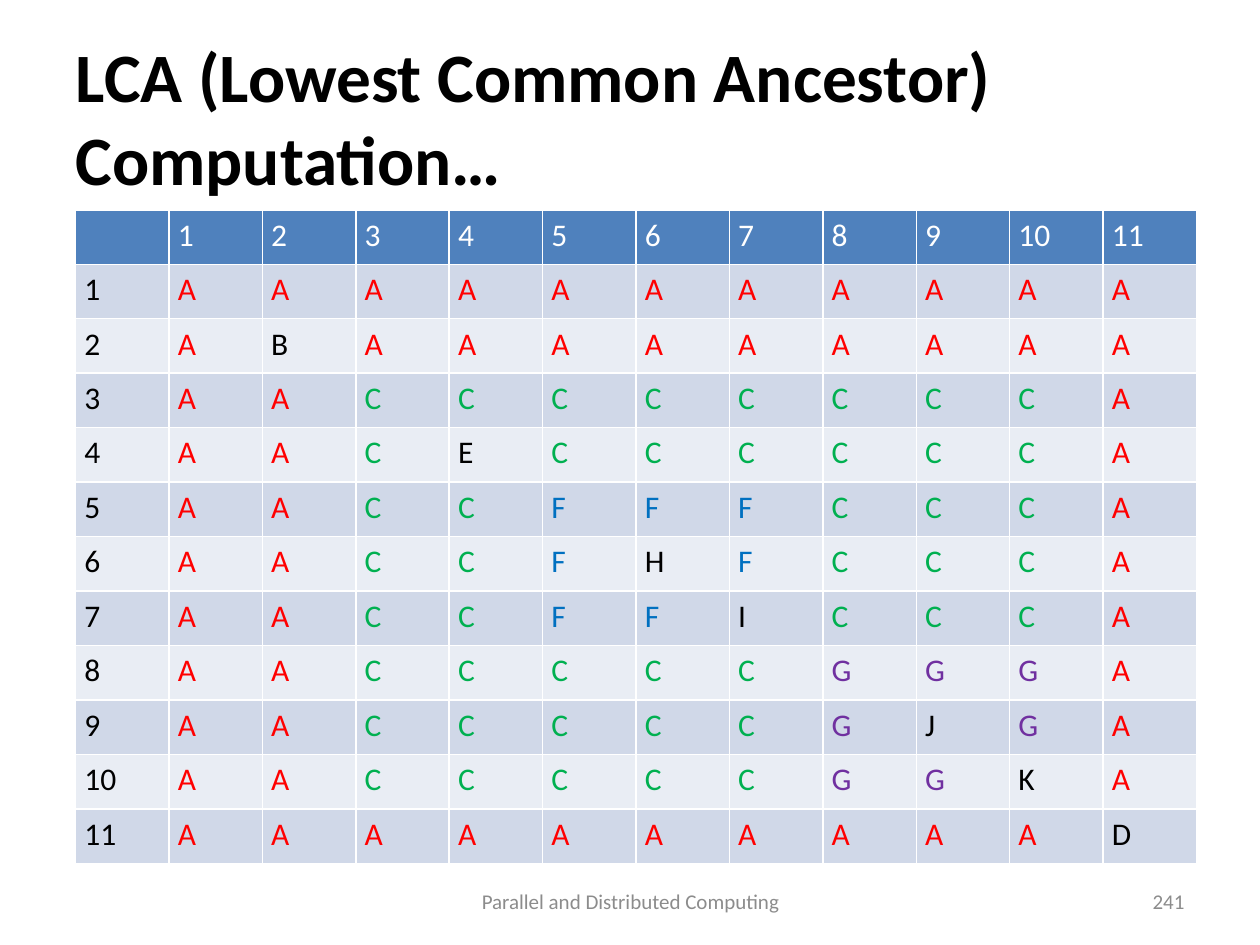
from pptx import Presentation
from pptx.dml.color import RGBColor
from pptx.enum.text import MSO_ANCHOR, MSO_AUTO_SIZE, PP_ALIGN
from pptx.util import Inches, Pt

LEFT, CENTER, RIGHT = PP_ALIGN.LEFT, PP_ALIGN.CENTER, PP_ALIGN.RIGHT
MIDDLE = MSO_ANCHOR.MIDDLE
NO_AUTOFIT = MSO_AUTO_SIZE.NONE

BLACK = RGBColor(0x00, 0x00, 0x00)
WHITE = RGBColor(0xFF, 0xFF, 0xFF)
GRAY = RGBColor(0x8C, 0x8C, 0x8C)
RED = RGBColor(0xFF, 0x00, 0x00)
GREEN = RGBColor(0x00, 0xB0, 0x50)
BLUE = RGBColor(0x00, 0x70, 0xC0)
PURPLE = RGBColor(0x70, 0x30, 0xA0)
HEADER_FILL = RGBColor(0x4F, 0x81, 0xBD)
BAND_FILLS = (RGBColor(0xE9, 0xED, 0xF4), RGBColor(0xD0, 0xD8, 0xE8))

PREORDER = "ABCEFHIGJKD"
PARENTS = {"B": "A", "C": "A", "D": "A", "E": "C", "F": "C", "G": "C",
           "H": "F", "I": "F", "J": "G", "K": "G"}
ANCESTOR_COLORS = {"A": RED, "C": GREEN, "F": BLUE, "G": PURPLE}


def lineage(node):
    nodes = [node]
    while nodes[-1] in PARENTS:
        nodes.append(PARENTS[nodes[-1]])
    return nodes


def lowest_common_ancestor(first, second):
    ancestors = lineage(second)
    return next(node for node in lineage(first) if node in ancestors)


class SlideBuilder:
    font_name = "Calibri"

    def __init__(self, presentation):
        self.width = presentation.slide_width
        self.height = presentation.slide_height
        self.slide = presentation.slides.add_slide(presentation.slide_layouts[5])

    def area(self, left, top, width, height):
        return (round(left * self.width), round(top * self.height),
                round(width * self.width), round(height * self.height))

    def style(self, frame, size, color, align=LEFT, bold=False):
        paragraph = frame.paragraphs[0]
        paragraph.alignment = align
        for run in paragraph.runs:
            run.font.name = self.font_name
            run.font.size = Pt(size)
            run.font.bold = bold
            run.font.color.rgb = color

    def fill_box(self, box, text, size, color, align, bold=False):
        frame = box.text_frame
        frame.text = text
        frame.word_wrap = True
        frame.auto_size = NO_AUTOFIT
        frame.vertical_anchor = MIDDLE
        self.style(frame, size, color, align, bold)

    def title(self, text, area):
        heading = self.slide.shapes.title
        heading.left, heading.top, heading.width, heading.height = self.area(*area)
        self.fill_box(heading, text, 39.6, BLACK, LEFT, bold=True)

    def footer(self, text, area, align):
        box = self.slide.shapes.add_textbox(*self.area(*area))
        self.fill_box(box, text, 12, GRAY, align)

    def cell(self, cell, text, fill, color):
        cell.margin_left = cell.margin_right = Inches(0.07)
        cell.margin_top = cell.margin_bottom = Inches(0.05)
        cell.fill.solid()
        cell.fill.fore_color.rgb = fill
        cell.text_frame.text = text
        self.style(cell.text_frame, 18, color)

    def ancestor_table(self, nodes, area):
        count = len(nodes) + 1
        table = self.slide.shapes.add_table(count, count, *self.area(*area)).table
        self.cell(table.cell(0, 0), "", HEADER_FILL, WHITE)
        for row, first in enumerate(nodes, 1):
            band = BAND_FILLS[row % 2]
            self.cell(table.cell(0, row), str(row), HEADER_FILL, WHITE)
            self.cell(table.cell(row, 0), str(row), band, BLACK)
            for column, second in enumerate(nodes, 1):
                ancestor = lowest_common_ancestor(first, second)
                color = ANCESTOR_COLORS.get(ancestor, BLACK)
                self.cell(table.cell(row, column), ancestor, band, color)


def main():
    presentation = Presentation()
    presentation.slide_width = Inches(10)
    presentation.slide_height = Inches(7.5)

    builder = SlideBuilder(presentation)
    builder.title("LCA (Lowest Common Ancestor) Computation…", (0.05, 0.04, 0.9, 1 / 6))
    footer_top, footer_height = 0.927, 0.053
    builder.footer("Parallel and Distributed Computing",
                   (0.342, footer_top, 0.317, footer_height), CENTER)
    builder.footer("241", (0.717, footer_top, 0.233, footer_height), RIGHT)
    builder.ancestor_table(PREORDER, (0.06, 0.222, 0.89, 0.692))

    presentation.save("out.pptx")


if __name__ == "__main__":
    main()
